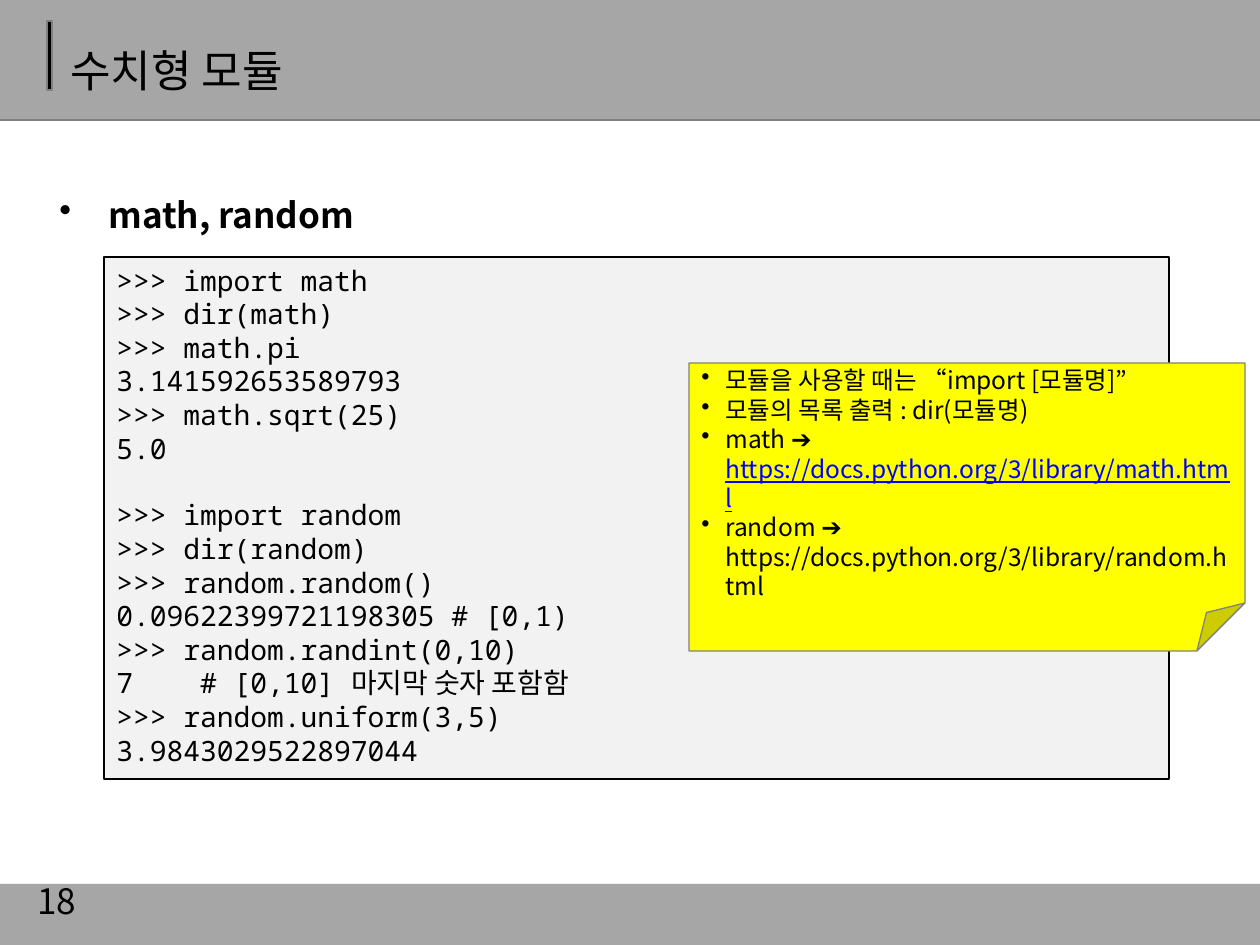
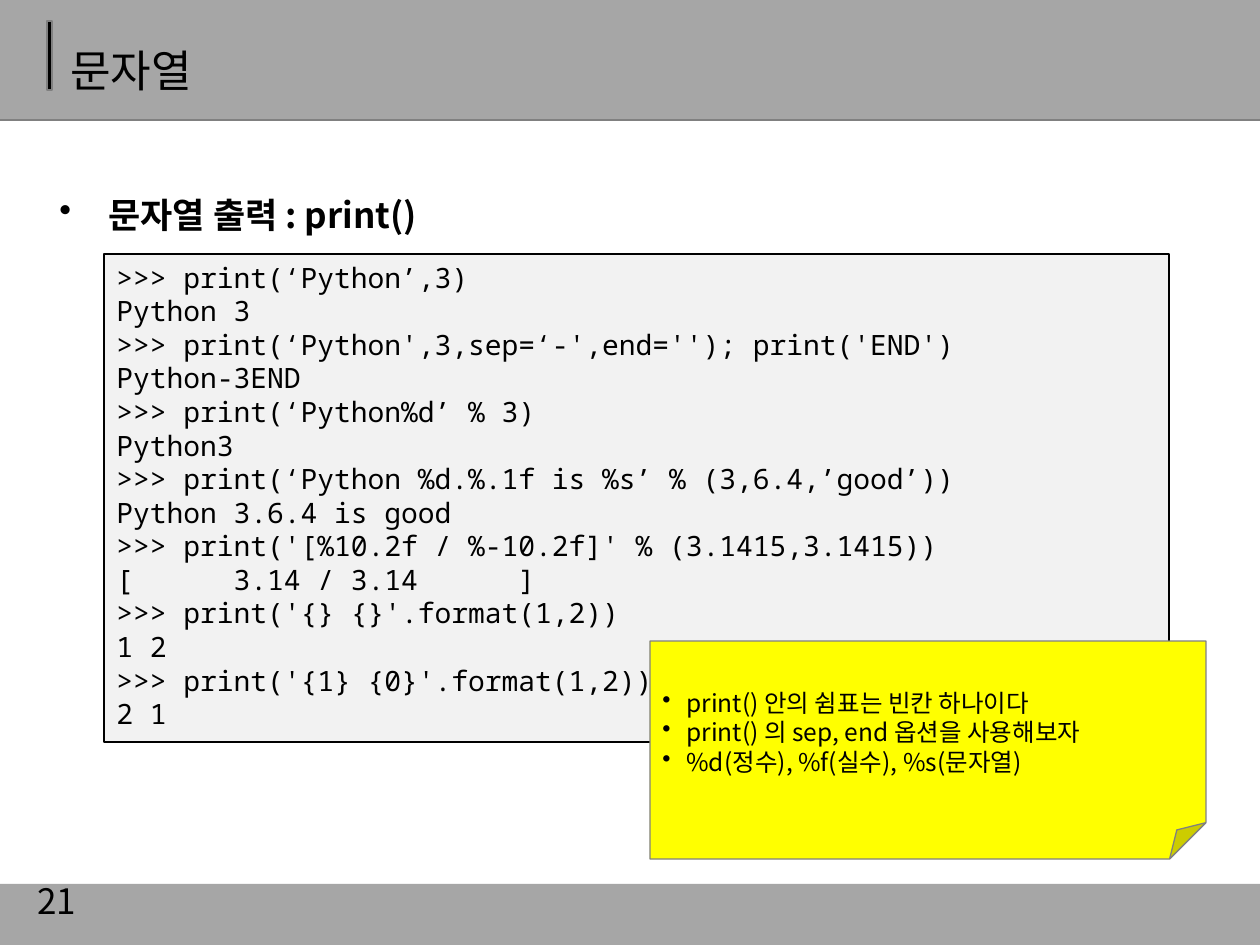
from dataclasses import dataclass

from lxml.etree import SubElement
from pptx import Presentation
from pptx.dml.color import RGBColor
from pptx.enum.shapes import MSO_CONNECTOR, MSO_SHAPE
from pptx.enum.text import MSO_ANCHOR, PP_ALIGN
from pptx.oxml.ns import qn
from pptx.util import Emu, Pt


@dataclass(frozen=True)
class Theme:
    band: str = "A6A6A6"
    edge: str = "808080"
    ink: str = "000000"
    code_fill: str = "F2F2F2"
    note_fill: str = "FFFF00"
    link: str = "0000FF"
    sans: str = "Noto Sans CJK KR"
    mono: str = "Noto Sans Mono"
    title: float = 25.2
    head: int = 20
    code: int = 16
    note: int = 14
    gap: int = 19


THEME = Theme()
WIDTH, HEIGHT = 1260, 945


def px(count):
    return Emu(round(count * 914400 / 126))


def color(code):
    return RGBColor.from_string(code)


def style(run, size, font=THEME.sans, ink=THEME.ink, bold=False):
    run.font.size = Pt(size)
    run.font.bold = bold
    run.font.color.rgb = color(ink)
    run.font.name = font
    SubElement(run._r.get_or_add_rPr(), qn("a:ea"), typeface=THEME.sans)


def bullet(para, indent):
    props = para._p.get_or_add_pPr()
    props.set("marL", str(px(indent)))
    props.set("indent", str(-px(indent)))
    SubElement(props, qn("a:buChar"), char="•")


def shape(slide, box, fill, line=None, kind=MSO_SHAPE.RECTANGLE):
    item = slide.shapes.add_shape(kind, *map(px, box))
    item.shadow.inherit = False
    item.fill.solid()
    item.fill.fore_color.rgb = color(fill)
    if line:
        item.line.color.rgb = color(line)
        item.line.width = Pt(0.75)
    else:
        item.line.fill.background()
    return item


def label(slide, box, text, size, anchor=MSO_ANCHOR.MIDDLE, bold=False):
    """Add a one-line text box and return its paragraph."""
    frame = slide.shapes.add_textbox(*map(px, box)).text_frame
    frame.word_wrap = True
    frame.vertical_anchor = anchor
    frame.text = text
    para = frame.paragraphs[0]
    style(para.runs[0], size, bold=bold)
    return para


def fill_lines(item, lines, anchor):
    """Put each line in a left-aligned paragraph, and return the paragraphs."""
    frame = item.text_frame
    frame.word_wrap = True
    frame.vertical_anchor = anchor
    frame.text = "\n".join(lines)
    for para in frame.paragraphs:
        para.alignment = PP_ALIGN.LEFT
    return frame.paragraphs


def header(slide, box, title):
    left, top, width, height = box
    shape(slide, (left, top - 1, width, height), THEME.band)
    base = px(top + height)
    rule = slide.shapes.add_connector(
        MSO_CONNECTOR.STRAIGHT, px(left), base, px(left + width), base)
    rule.line.color.rgb = color(THEME.edge)
    rule.line.width = Pt(0.75)
    SubElement(rule._element.spPr, qn("a:effectLst"))
    shape(slide, (left + 47, top + 21, 5, 69), THEME.ink, THEME.edge)
    para = label(slide, (left + 58, top + 18, 1086, 78), title, THEME.title)
    para.line_spacing = 1.5


def footer(slide, box, number):
    left, top, width, height = box
    shape(slide, box, THEME.band)
    label(slide, (left + 25, top - 8, 294, 50), str(number), THEME.head)


def heading(slide, box, text):
    para = label(slide, box, text, THEME.head, MSO_ANCHOR.TOP, bold=True)
    bullet(para, 49)
    para.line_spacing = 2.0


def code(slide, box, blocks):
    """Show blocks of code, one line's height apart."""
    item = shape(slide, box, THEME.code_fill, THEME.ink)
    lines = [line for block in blocks for line in block.splitlines()]
    paras = fill_lines(item, lines, MSO_ANCHOR.TOP)
    for para in paras:
        style(para.runs[0], THEME.code, THEME.mono)
    start = 0
    for block in blocks[:-1]:
        start += len(block.splitlines())
        paras[start].space_before = Pt(THEME.gap)


def note(slide, box, points):
    """Show bulleted points; a point is a text and a web address, or ""."""
    item = shape(slide, box, THEME.note_fill, THEME.edge,
                 MSO_SHAPE.FOLDED_CORNER)
    paras = fill_lines(item, [text for text, _ in points], MSO_ANCHOR.MIDDLE)
    for para, (_, link) in zip(paras, points):
        bullet(para, 24)
        style(para.runs[0], THEME.note)
        if link:
            run = para.add_run()
            run.text = link
            style(run, THEME.note, ink=THEME.link)
            run.font.underline = True


def lesson(deck, page):
    slide = deck.slides.add_slide(deck.slide_layouts[6])
    header(slide, (0, 0, WIDTH, 120), page["title"])
    footer(slide, (0, 884, WIDTH, 61), page["number"])
    heading(slide, (47, 145, 1169, 649), page["head"])
    top, height = page["code_span"]
    code(slide, (104, top, 1065, height), page["code"])
    left, top, height = page["note_spot"]
    note(slide, (left, top, 556, height), page["note"])


MATH = """\
>>> import math
>>> dir(math)
>>> math.pi
3.141592653589793
>>> math.sqrt(25)
5.0"""

RANDOM = """\
>>> import random
>>> dir(random)
>>> random.random()
0.09622399721198305 # [0,1)
>>> random.randint(0,10)
7    # [0,10] 마지막 숫자 포함함
>>> random.uniform(3,5)
3.9843029522897044"""

PRINT = """\
>>> print(‘Python’,3)
Python 3
>>> print(‘Python',3,sep=‘-',end=''); print('END')
Python-3END
>>> print(‘Python%d’ % 3)
Python3
>>> print(‘Python %d.%.1f is %s’ % (3,6.4,’good’))
Python 3.6.4 is good
>>> print('[%10.2f / %-10.2f]' % (3.1415,3.1415))
[      3.14 / 3.14      ]
>>> print('{} {}'.format(1,2))
1 2
>>> print('{1} {0}'.format(1,2))
2 1"""

PAGES = [
    dict(
        title="수치형 모듈", number=18, head="math, random",
        code_span=(257, 522), code=[MATH, RANDOM],
        note_spot=(689, 363, 288),
        note=[
            ("모듈을 사용할 때는 “import [모듈명]”", ""),
            ("모듈의 목록 출력 : dir(모듈명)", ""),
            ("math ➔ ", "https://docs.python.org/3/library/math.html"),
            ("random ➔ https://docs.python.org/3/library/random.html", ""),
        ],
    ),
    dict(
        title="문자열", number=21, head="문자열 출력 : print()",
        code_span=(254, 488), code=[PRINT],
        note_spot=(650, 641, 218),
        note=[
            ("print() 안의 쉼표는 빈칸 하나이다", ""),
            ("print() 의 sep, end 옵션을 사용해보자", ""),
            ("%d(정수), %f(실수), %s(문자열)", ""),
        ],
    ),
]


def main():
    deck = Presentation()
    deck.slide_width, deck.slide_height = px(WIDTH), px(HEIGHT)
    for page in PAGES:
        lesson(deck, page)
    deck.save("out.pptx")


if __name__ == "__main__":
    main()
